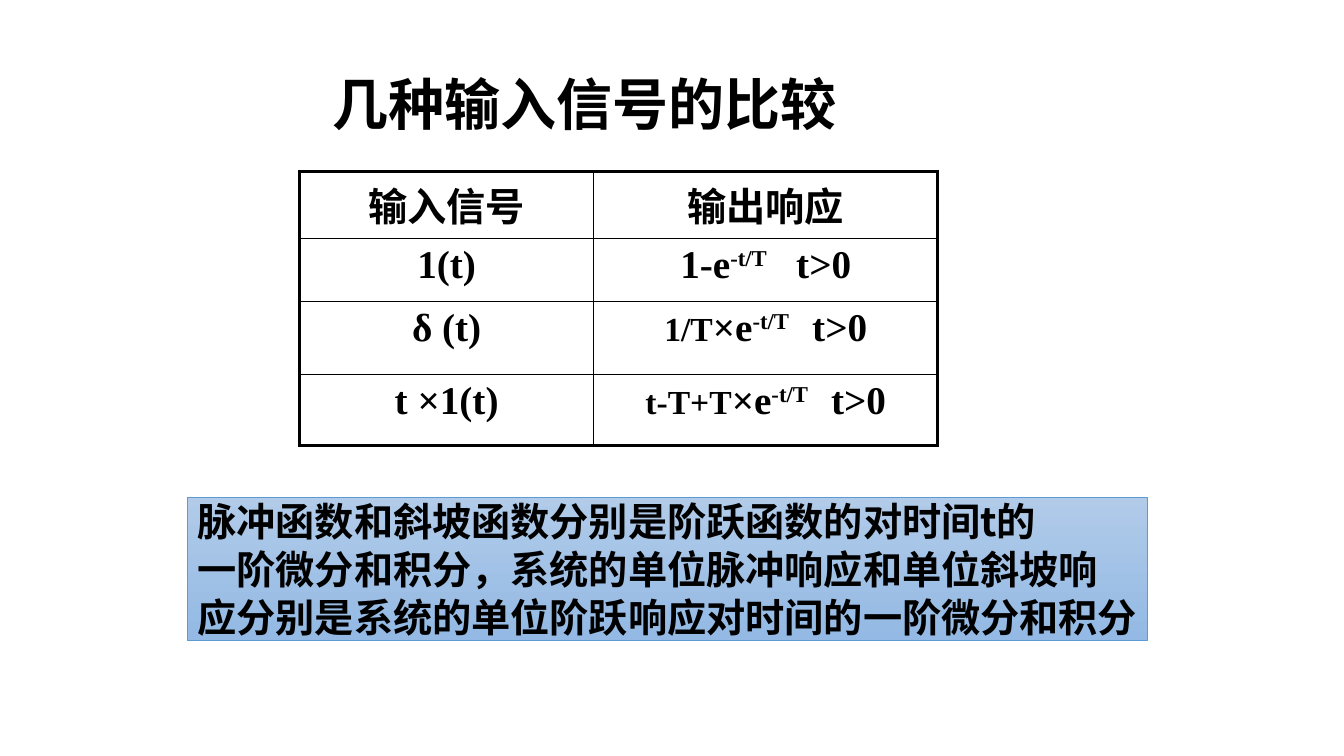
import dataclasses

import lxml.etree
import pptx
import pptx.dml.color
import pptx.enum.shapes
import pptx.enum.text
import pptx.oxml.ns
import pptx.util

Inches = pptx.util.Inches
Pt = pptx.util.Pt
qn = pptx.oxml.ns.qn
Align = pptx.enum.text.PP_ALIGN
Anchor = pptx.enum.text.MSO_ANCHOR


@dataclasses.dataclass(frozen=True)
class Theme:
    ink: str = "000000"
    panel_top: str = "B1CBE9"
    panel_bottom: str = "93B9E4"
    panel_line: str = "5B9BD5"
    chinese: str = "Noto Sans CJK SC"
    latin: str = "Times New Roman"
    title: int = 40
    body: int = 28
    small: int = 24
    body_pitch: int = 34
    outer_border: float = 2.25
    inner_border: float = 1


def color(value):
    return pptx.dml.color.RGBColor.from_string(value)


def apply(target, formats):
    for name, value in formats.items():
        setattr(target, name, value)


class SlideBuilder:
    def __init__(self, deck, theme):
        self.theme = theme
        self.page = deck.slides.add_slide(deck.slide_layouts[5])

    def add_span(self, para, text, size, font, raised=False, spacing=0):
        """Add a bold span; spacing is extra points after each character."""
        span = para.add_run()
        span.text = text
        apply(span.font, {"name": font, "size": Pt(size), "bold": True})
        span.font.color.rgb = color(self.theme.ink)
        properties = span._r.get_or_add_rPr()
        lxml.etree.SubElement(properties, qn("a:ea")).set("typeface", self.theme.chinese)
        if raised:
            properties.set("baseline", "30000")
        if spacing:
            properties.set("spc", str(round(spacing * 100)))

    def title(self, text, left, top, width, height):
        box = self.page.shapes.title
        apply(box, {"left": Inches(left), "top": Inches(top),
                    "width": Inches(width), "height": Inches(height)})
        apply(box.text_frame, {"vertical_anchor": Anchor.MIDDLE, "word_wrap": True,
                               "auto_size": pptx.enum.text.MSO_AUTO_SIZE.NONE})
        para = box.text_frame.paragraphs[0]
        apply(para, {"alignment": Align.LEFT, "line_spacing": 0.9})
        self.add_span(para, text, self.theme.title, self.theme.chinese)

    def border(self, cell, side, points):
        line = lxml.etree.SubElement(cell._tc.get_or_add_tcPr(), qn("a:ln" + side))
        line.set("w", str(Pt(points)))
        fill = lxml.etree.SubElement(line, qn("a:solidFill"))
        lxml.etree.SubElement(fill, qn("a:srgbClr")).set("val", self.theme.ink)

    def table(self, rows, left, top, widths, heights):
        """Place a table whose cells are lists of keyword sets for add_span."""
        frame = self.page.shapes.add_table(
            len(heights), len(widths), Inches(left), Inches(top),
            Inches(sum(widths)), Inches(sum(heights)))
        grid = frame.table
        apply(grid, {"first_row": False, "horz_banding": False})
        for column, width in zip(grid.columns, widths):
            column.width = Inches(width)
        for row, height in zip(grid.rows, heights):
            row.height = Inches(height)
        last_row, last_column = len(heights) - 1, len(widths) - 1
        for row_index, row in enumerate(rows):
            for column_index, spans in enumerate(row):
                cell = grid.cell(row_index, column_index)
                outer = {"L": column_index == 0, "R": column_index == last_column,
                         "T": row_index == 0, "B": row_index == last_row}
                for side, is_outer in outer.items():
                    self.border(cell, side, self.theme.outer_border if is_outer
                                else self.theme.inner_border)
                cell.fill.background()
                para = cell.text_frame.paragraphs[0]
                para.alignment = Align.CENTER
                for span in spans:
                    self.add_span(para, **span)

    def panel(self, lines, left, top, width, height):
        box = self.page.shapes.add_shape(
            pptx.enum.shapes.MSO_SHAPE.RECTANGLE,
            Inches(left), Inches(top), Inches(width), Inches(height))
        box.shadow.inherit = False
        box.fill.gradient()
        box.fill.gradient_angle = 270
        stops = (self.theme.panel_top, self.theme.panel_bottom)
        for stop, value in zip(box.fill.gradient_stops, stops):
            stop.color.rgb = color(value)
        box.line.color.rgb = color(self.theme.panel_line)
        box.line.width = Pt(0.5)
        frame = box.text_frame
        apply(frame, {"word_wrap": False, "vertical_anchor": Anchor.MIDDLE})
        for index, text in enumerate(lines):
            para = frame.add_paragraph() if index else frame.paragraphs[0]
            apply(para, {"alignment": Align.LEFT,
                         "line_spacing": Pt(self.theme.body_pitch)})
            self.add_span(para, text, self.theme.body, self.theme.chinese)


def main():
    theme = Theme()
    deck = pptx.Presentation()
    apply(deck, {"slide_width": Inches(13.33), "slide_height": Inches(7.5)})
    slide = SlideBuilder(deck, theme)

    def heading(text):
        return [{"text": text, "size": theme.body, "font": theme.chinese}]

    def formula(text, **formats):
        return {"text": text, "size": theme.body, "font": theme.latin, **formats}

    def decay(gap):
        """Exponent and time condition, set apart by a widened space."""
        return [formula("-t/T", raised=True), formula(" ", spacing=gap), formula("t>0")]

    def scaled_response(factor):
        return [formula(factor, size=theme.small), formula("×e"), *decay(9.5)]

    slide.title("几种输入信号的比较", 3.2, 0.68, 6.46, 0.77)
    slide.table(
        [[heading("输入信号"), heading("输出响应")],
         [[formula("1(t)")], [formula("1-e"), *decay(14)]],
         [[formula("δ (t)")], scaled_response("1/T")],
         [[formula("t ×1(t)")], scaled_response("t-T+T")]],
        2.97, 1.7, [2.92, 3.41], [0.66, 0.63, 0.72, 0.71])
    slide.panel(
        ["脉冲函数和斜坡函数分别是阶跃函数的对时间t的",
         "一阶微分和积分，系统的单位脉冲响应和单位斜坡响",
         "应分别是系统的单位阶跃响应对时间的一阶微分和积分"],
        1.86, 4.93, 9.52, 1.42)
    deck.save("out.pptx")


if __name__ == "__main__":
    main()
